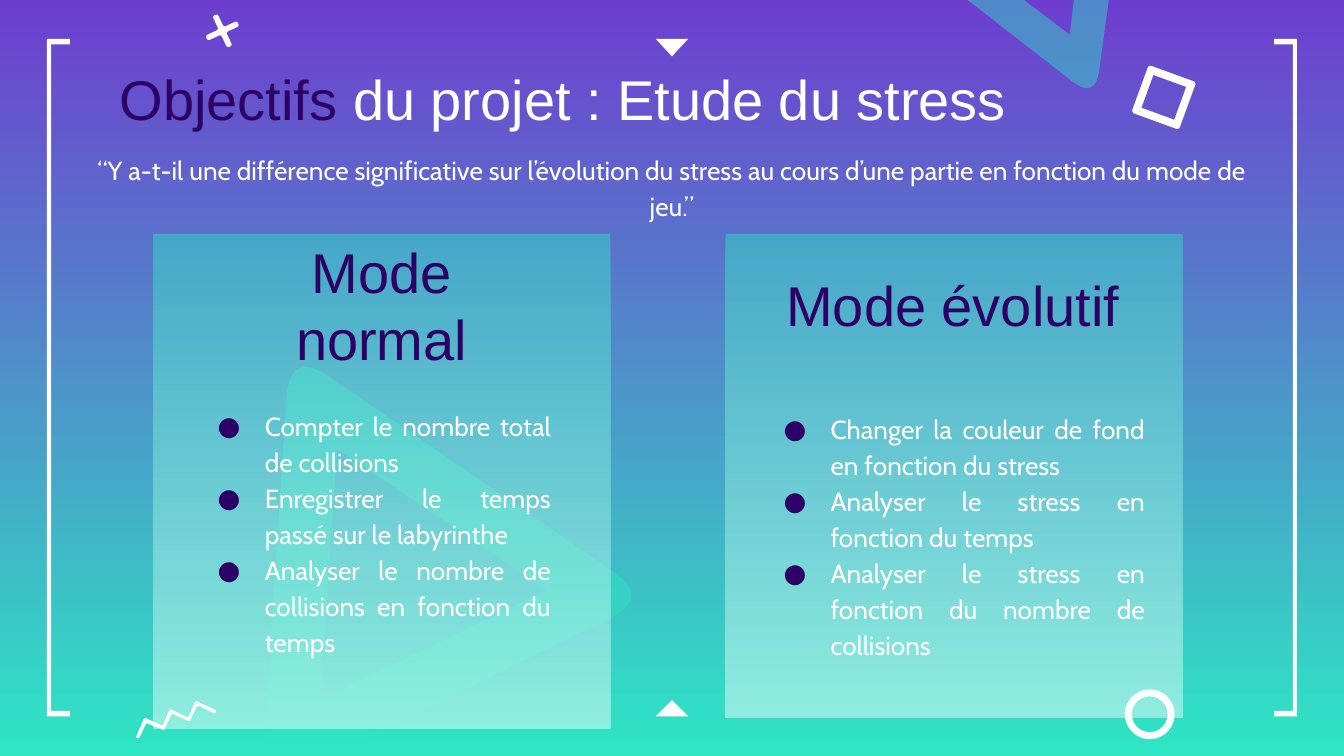
import math
from dataclasses import dataclass
from typing import NamedTuple

from lxml import etree
from pptx import Presentation
from pptx import util as u
from pptx.dml.color import RGBColor
from pptx.enum import shapes, text
from pptx.oxml.ns import qn

COLUMNS, ROWS = 100, 56.25
CELL = u.Inches(10) / COLUMNS


@dataclass(frozen=True)
class Theme:
    ink: str = "2D0066"
    light: str = "FFFFFF"
    mint: str = "2EE6C4"
    violet: str = "6E3DCF"
    veil: int = 45
    heading_font: str = "Arial"
    body_font: str = "Cabin"
    heading_size: int = 30
    body_size: int = 14
    leading: float = 1.15


THEME = Theme()


class Area(NamedTuple):
    left: float
    top: float
    width: float
    height: float

    def emu(self) -> list[int]:
        return [cells(value) for value in self]


class Corner(NamedTuple):
    x: float
    y: float
    cut: float = 0


class Span(NamedTuple):
    words: str
    color: str = THEME.light


@dataclass(frozen=True)
class Mode:
    card: Area
    heading_area: Area
    list_area: Area
    heading: str
    goals: tuple[str, ...]


MODES = (
    Mode(Area(11.4, 17.4, 34, 36.8), Area(17.6, 18.9, 21.6, 7.4), Area(14.7, 32.7, 26.3, 13.6),
         "Mode normal",
         ("Compter le nombre total de collisions",
          "Enregistrer le temps passé sur le labyrinthe",
          "Analyser le nombre de collisions en fonction du temps")),
    Mode(Area(54, 17.4, 34, 36), Area(55.7, 16.6, 30.4, 11.9), Area(56.8, 31.5, 28.4, 16.5),
         "Mode évolutif",
         ("Changer la couleur de fond en fonction du stress",
          "Analyser le stress en fonction du temps",
          "Analyser le stress en fonction du nombre de collisions")),
)


def cells(count: float) -> int:
    return round(count * CELL)


def make_translucent(shape) -> None:
    for color in shape._element.spPr.iter(qn("a:srgbClr")):
        etree.SubElement(color, qn("a:alpha"), val=str(THEME.veil * 1000))


def fill_gradient(fill, first: str, last: str) -> None:
    fill.gradient()
    fill.gradient_angle = 270
    for stop, position, color in zip(fill.gradient_stops, (0, 1), (first, last)):
        stop.position = position
        stop.color.rgb = RGBColor.from_string(color)


def trace(corners: list[Corner], steps: int = 8) -> list[tuple[int, int]]:
    points = []
    for index, here in enumerate(corners):
        ends = []
        for other in (corners[index - 1], corners[(index + 1) % len(corners)]):
            share = here.cut / math.dist(here[:2], other[:2])
            ends.append([a + (b - a) * share for a, b in zip(here[:2], other[:2])])
        for t in ([i / steps for i in range(steps + 1)] if here.cut else [0]):
            points.append(tuple(
                cells((1 - t) ** 2 * a + 2 * t * (1 - t) * b + t * t * c)
                for a, b, c in zip(ends[0], here[:2], ends[1])))
    return points


def draw_outline(page, *contours: list[Corner], color: str = THEME.light, veiled: bool = False) -> None:
    first, *holes = [trace(contour) for contour in contours]
    builder = page.shapes.build_freeform(*first[0], scale=1)
    builder.add_line_segments(first[1:], close=True)
    for hole in holes:
        builder.move_to(*hole[0])
        builder.add_line_segments(hole[1:], close=True)
    paint(builder.convert_to_shape(), color)
    if veiled:
        make_translucent(page.shapes[-1])


def paint(shape, color: str) -> None:
    shape.shadow.inherit = False
    shape.line.fill.background()
    shape.fill.solid()
    shape.fill.fore_color.rgb = RGBColor.from_string(color)


def star(x: float, y: float, points: list[tuple[float, float]], turn: float, cut: float) -> list[Corner]:
    cos, sin = math.cos(math.radians(turn)), math.sin(math.radians(turn))
    return [Corner(x + a * cos - b * sin, y + a * sin + b * cos, cut) for a, b in points]


def square(half: float) -> list[tuple[float, float]]:
    return [(-half, -half), (half, -half), (half, half), (-half, half)]


def cross(reach: float, half: float) -> list[tuple[float, float]]:
    arm = [(half, -half), (reach, -half), (reach, half)]
    points = []
    for _ in range(4):
        points += arm
        arm = [(-b, a) for a, b in arm]
    return points


def draw_decor(page) -> None:
    for base, tip in ((2.9, 4.2), (53.3, 52.1)):
        draw_outline(page, [Corner(48.8, base), Corner(50, tip), Corner(51.2, base)])
    draw_outline(page, star(86.6, 7.25, square(1.88), 20, 0.25), star(86.6, 7.25, square(1.3), 20, 0)[::-1])
    draw_outline(page, star(16.55, 2.3, cross(1.3, 0.21), 65, 0.2))
    bracket = [(3.5, 2.9), (3.5, 53.3), (5.2, 53.3), (5.2, 52.9),
               (3.8, 52.9), (3.8, 3.3), (5.2, 3.3), (5.2, 2.9)]
    draw_outline(page, [Corner(x, y) for x, y in bracket])
    draw_outline(page, [Corner(COLUMNS - x, y) for x, y in bracket])
    upper = [(10.1, 54.9), (10.75, 53.4), (12.1, 54), (12.65, 52.75), (14, 53.4), (14.55, 52.15), (16.1, 52.85)]
    lower = [(16, 53.1), (14.7, 52.5), (14.1, 53.7), (12.8, 53.1), (12.2, 54.35), (10.9, 53.8), (10.35, 54.95)]
    draw_outline(page, [Corner(x, y, 0.1) for x, y in upper + lower])
    ring = page.shapes.add_shape(shapes.MSO_SHAPE.DONUT, *Area(83.7, 51.3, 3.7, 3.7).emu())
    ring.adjustments[0] = 0.14
    paint(ring, THEME.light)
    draw_outline(page,
                 [Corner(21.55, 26, 3.6), Corner(48.5, 44.5, 3.5), Corner(24.5, ROWS), Corner(19.6, ROWS)],
                 [Corner(25.1, 33.4), Corner(23.8, 52.1), Corner(40.7, 43.9)],
                 color=THEME.mint, veiled=True)
    draw_outline(page,
                 [Corner(72, 0), Corner(81.5, 7.4, 2.2), Corner(82.5, 0),
                  Corner(79.9, 0), Corner(79.6, 2.6), Corner(76.2, 0)],
                 color=THEME.mint, veiled=True)


def draw_card(page, area: Area) -> None:
    card = page.shapes.add_shape(shapes.MSO_SHAPE.ROUNDED_RECTANGLE, *area.emu())
    card.adjustments[0] = 0
    card.shadow.inherit = False
    card.line.fill.background()
    fill_gradient(card.fill, THEME.mint, THEME.light)
    make_translucent(card)


def add_bullet(para) -> None:
    props = para._p.get_or_add_pPr()
    props.set("marL", str(u.Inches(0.5)))
    props.set("indent", str(-u.Inches(0.35)))
    tint = etree.SubElement(props, qn("a:buClr"))
    etree.SubElement(tint, qn("a:srgbClr"), val=THEME.ink)
    etree.SubElement(props, qn("a:buFont"), typeface=THEME.body_font)
    etree.SubElement(props, qn("a:buChar"), char="●")


def write(box, area: Area, paragraphs: list[list[Span]], *, font: str, size: int, align,
          anchor=text.MSO_ANCHOR.MIDDLE, leading: float = 1.0,
          margins: tuple[float, ...] = (0, 0.1, 0, 0), bulleted: bool = False) -> None:
    box.left, box.top, box.width, box.height = area.emu()
    frame = box.text_frame
    frame.word_wrap = True
    frame.auto_size = text.MSO_AUTO_SIZE.NONE
    frame.vertical_anchor = anchor
    frame.margin_left, frame.margin_top, frame.margin_right, frame.margin_bottom = map(cells, margins)
    for index, spans in enumerate(paragraphs):
        para = frame.add_paragraph() if index else frame.paragraphs[0]
        if bulleted:
            add_bullet(para)
        para.alignment = align
        para.line_spacing = leading
        para.space_before = u.Pt(0)
        for words, color in spans:
            span = para.add_run()
            span.text = words
            span.font.name = font
            span.font.size = u.Pt(size)
            span.font.color.rgb = RGBColor.from_string(color)
    box._element.getparent().append(box._element)


def main() -> None:
    deck = Presentation()
    deck.slide_width, deck.slide_height = cells(COLUMNS), cells(ROWS)
    page = deck.slides.add_slide(deck.slide_layouts[3])
    title, *lists = page.placeholders
    fill_gradient(page.background.fill, THEME.violet, THEME.mint)
    draw_decor(page)

    heading = dict(font=THEME.heading_font, size=THEME.heading_size)
    body = dict(font=THEME.body_font, size=THEME.body_size, leading=THEME.leading)
    center = text.PP_ALIGN.CENTER
    for mode, body_box in zip(MODES, lists):
        draw_card(page, mode.card)
        write(body_box, mode.list_area, [[Span(goal)] for goal in mode.goals],
              align=text.PP_ALIGN.JUSTIFY, bulleted=True, **body)
        write(page.shapes.add_textbox(0, 0, 0, 0), mode.heading_area,
              [[Span(mode.heading, THEME.ink)]], align=center, **heading)
    write(title, Area(7.9, 3.8, 79.5, 9.1),
          [[Span("Objectifs ", THEME.ink), Span("du projet : Etude du stress")]],
          align=text.PP_ALIGN.LEFT, anchor=text.MSO_ANCHOR.TOP, margins=(1, 1, 1, 1), **heading)
    quote = ("“Y a-t-il une différence significative sur l’évolution du stress "
             "au cours d’une partie en fonction du mode de jeu.”")
    write(page.shapes.add_textbox(0, 0, 0, 0), Area(5.7, 10.3, 88.6, 7.1),
          [[Span(quote)]], align=center, margins=(1, 1, 1, 1), **body)
    deck.save("out.pptx")


if __name__ == "__main__":
    main()
